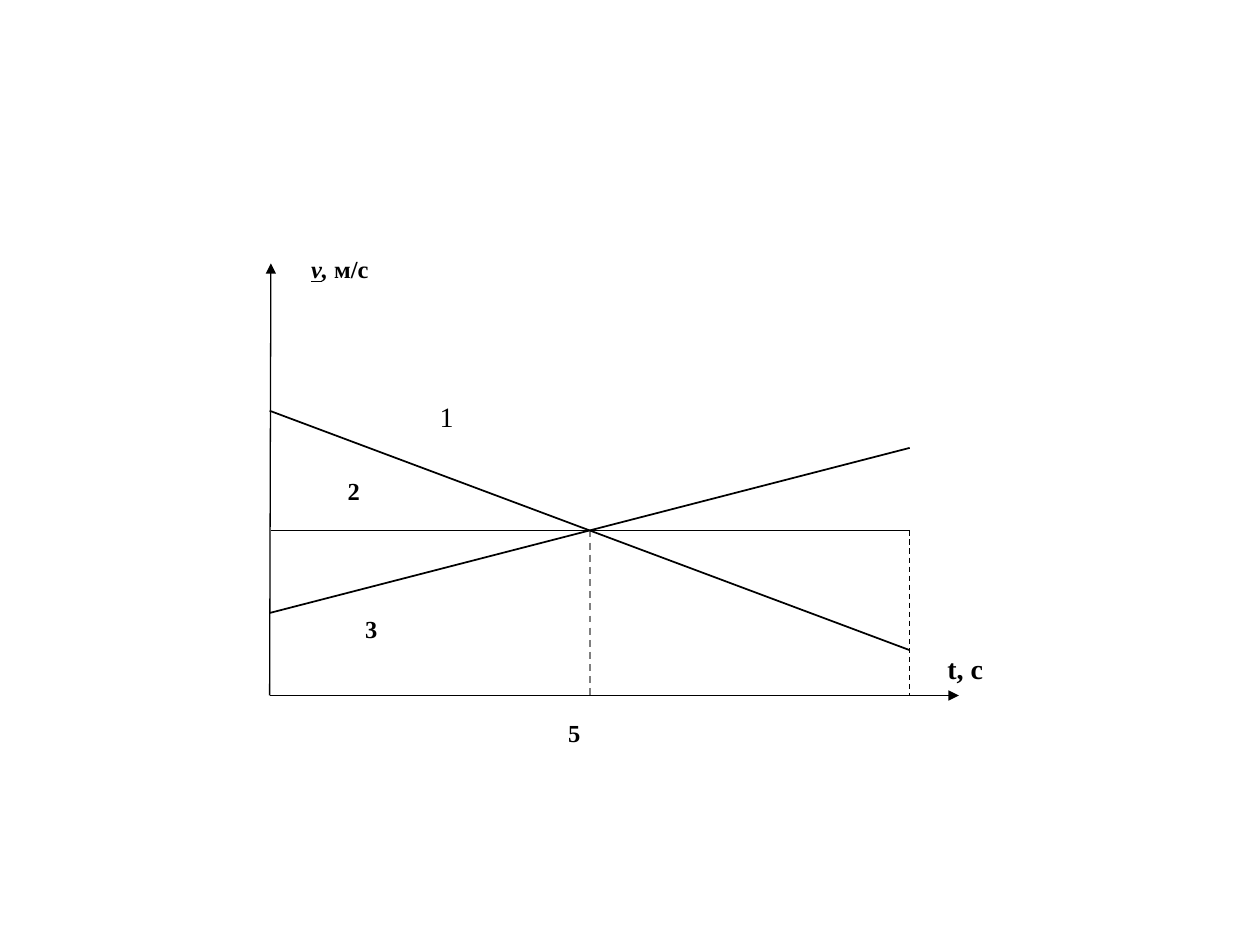
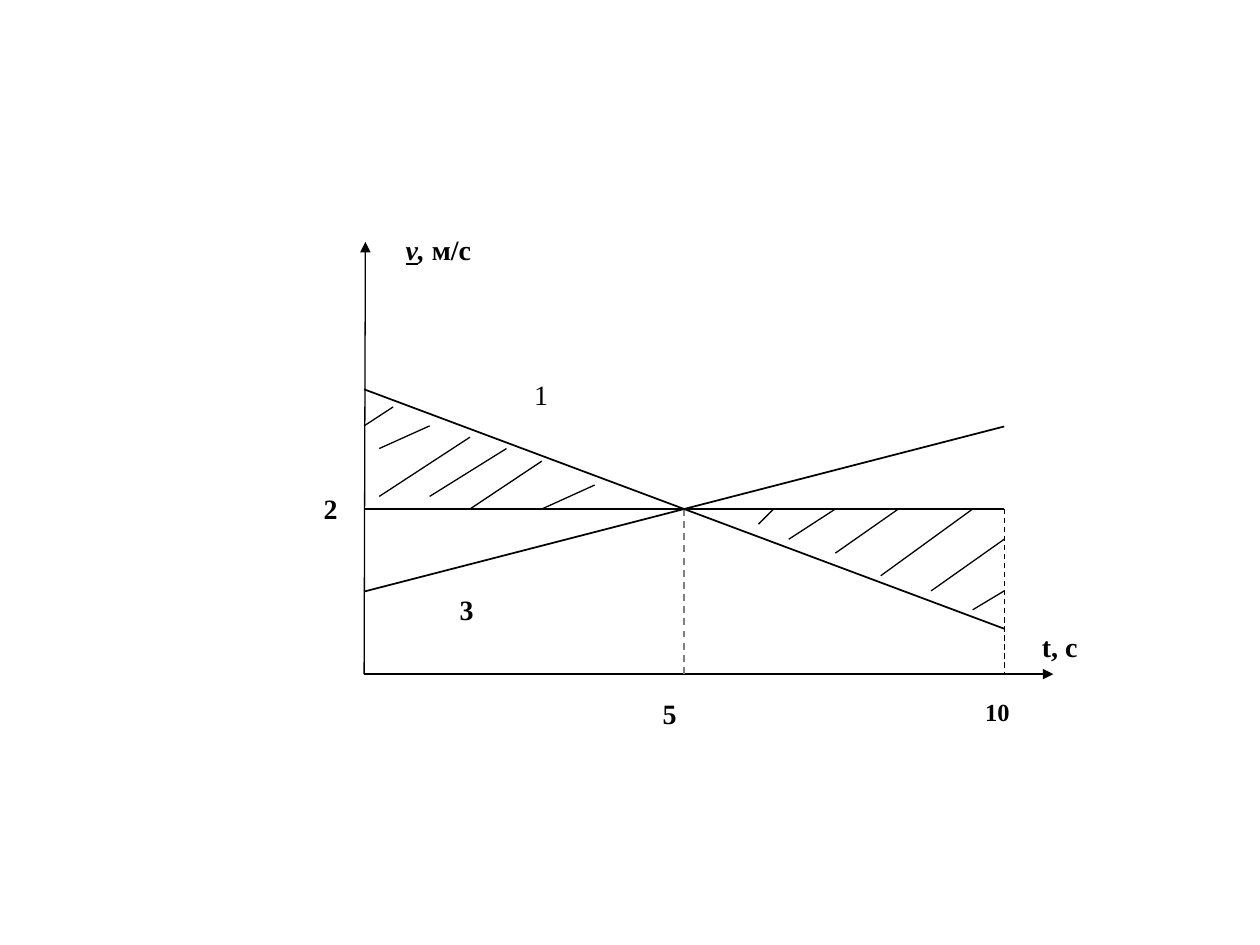
from lxml import etree
from pptx import Presentation
from pptx.dml.color import RGBColor
from pptx.enum.dml import MSO_LINE
from pptx.enum.shapes import MSO_CONNECTOR
from pptx.enum.text import MSO_ANCHOR
from pptx.oxml.ns import qn
from pptx.util import Inches, Pt

BLACK = RGBColor(0x00, 0x00, 0x00)
GRAY = RGBColor(0x7F, 0x7F, 0x7F)
FONT = "Times New Roman"

# Graph measures in inches, counted right and up from the origin
MEET_T, END_T = 2.54, 5.08
V_LEVEL = 1.31
V_STEP = V_LEVEL / 2
V_AXIS, T_AXIS = (0.01, 3.43), (5.47, 0)

# Start, end, weight, colour, dashed, arrow
GRAPH_LINES = [
    ((0, 0), V_AXIS, 0.75, BLACK, False, True),
    ((0, 0), T_AXIS, 0.75, BLACK, False, True),
    ((0.01, V_LEVEL), (END_T, V_LEVEL), 0.75, BLACK, False, False),
    ((0, V_STEP), (END_T, 3 * V_STEP), 1, BLACK, False, False),
    ((MEET_T, V_LEVEL), (MEET_T, 0), 1, GRAY, True, False),
    ((END_T, V_LEVEL), (END_T, 0), 0.75, BLACK, True, False),
    ((0, 2.26), (END_T, 0.36), 1, BLACK, False, False),
]

# Hatching of the areas between lines 1 and 2
HATCHING = [
    ((0.23, 2.12), (0, 1.97)),
    ((0.52, 1.97), (0.12, 1.79)),
    ((0.84, 1.88), (0.12, 1.41)),
    ((1.13, 1.79), (0.52, 1.41)),
    ((1.41, 1.69), (0.84, V_LEVEL)),
    ((1.83, 1.50), (1.41, V_LEVEL)),
    ((3.25, V_LEVEL), (3.13, 1.19)),
    ((3.74, V_LEVEL), (3.37, 1.07)),
    ((4.24, V_LEVEL), (3.74, 0.96)),
    ((4.83, V_LEVEL), (4.10, 0.78)),
    ((END_T, 1.07), (4.50, 0.66)),
    ((END_T, 0.66), (4.83, 0.51)),
]

# Origin, size of most labels, place of label 2, hatching, extra labels
GRAPHS = [
    ((2.14, 5.52), 14, (0.52, 1.79), [], []),
    ((2.89, 5.35), 16, (-0.42, 1.50), HATCHING,
     [("10", (4.83, -0.13), 0.70, 14, True)]),
]


def draw_line(slide, origin, start, end, weight=0.75, color=BLACK,
              dashed=False, arrow=False):
    line = slide.shapes.add_connector(
        MSO_CONNECTOR.STRAIGHT,
        Inches(origin[0] + start[0]), Inches(origin[1] - start[1]),
        Inches(origin[0] + end[0]), Inches(origin[1] - end[1]))
    line.line.width = Pt(weight)
    line.line.color.rgb = color
    if dashed:
        line.line.dash_style = MSO_LINE.DASH
    properties = line._element.spPr
    if arrow:
        etree.SubElement(properties.find(qn("a:ln")), qn("a:tailEnd"), type="triangle")
    etree.SubElement(properties, qn("a:effectLst"))


def add_label(slide, origin, text, place, width, size, bold):
    label = slide.shapes.add_textbox(
        Inches(origin[0] + place[0]), Inches(origin[1] - place[1]),
        Inches(width), Inches(0.32))
    frame = label.text_frame
    frame.word_wrap = True
    frame.margin_right = 0
    frame.vertical_anchor = MSO_ANCHOR.TOP
    paragraph = frame.paragraphs[0]
    for part in text if isinstance(text, list) else [text]:
        run = paragraph.add_run()
        run.text = part
        run.font.name = FONT
        run.font.size = Pt(size)
        run.font.bold = bold
        run.font.color.rgb = BLACK
    return paragraph


prs = Presentation()
prs.slide_width, prs.slide_height = Inches(10), Inches(7.5)

for origin, size, level_place, hatching, extra_labels in GRAPHS:
    slide = prs.slides.add_slide(prs.slide_layouts[6])

    # Axes, motion lines and time marks
    for graph_line in GRAPH_LINES:
        draw_line(slide, origin, *graph_line)
    for start, end in hatching:
        draw_line(slide, origin, start, end)

    # Speed axis title, with its symbol underlined
    speed_title = add_label(slide, origin, ["ν", ", ", "м/с"], (0.23, 3.55), 0.78, size, True)
    symbol, comma, unit = speed_title.runs
    symbol.font.underline = True
    symbol.font.italic = comma.font.italic = True

    # Time axis title, line numbers and time values
    for label in [
        ("t, с", (5.28, 0.40), 0.49, 16, True),
        ("1", (1.25, 2.40), 0.40, 16, False),
        ("2", level_place, 0.35, size, True),
        ("3", (0.66, 0.70), 0.59, size, True),
        ("5", (2.27, -0.13), 0.58, size, True),
    ] + extra_labels:
        add_label(slide, origin, *label)

prs.save("out.pptx")
